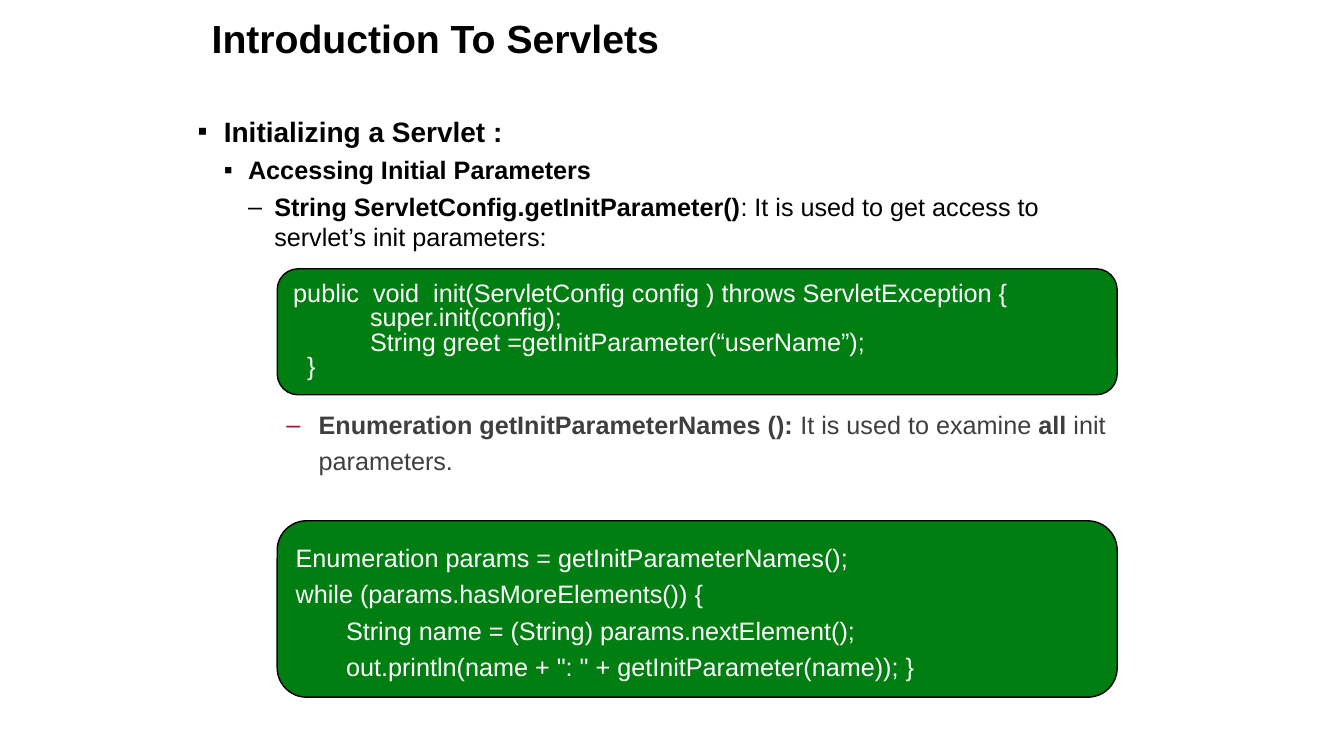
from lxml.etree import SubElement
from pptx import Presentation
from pptx.dml.color import RGBColor
from pptx.enum.shapes import MSO_SHAPE
from pptx.enum.text import MSO_ANCHOR, MSO_AUTO_SIZE, PP_ALIGN
from pptx.oxml.ns import qn
from pptx.util import Pt


def style(r, size, color, bold=False):
    r.font.name = "Arial"
    r.font.size = Pt(size)
    r.font.bold = bold
    r.font.color.rgb = RGBColor.from_string(color)


def place(sp, left, top, width, height):
    sp.left, sp.top, sp.width, sp.height = Pt(left), Pt(top), Pt(width), Pt(height)


prs = Presentation()
prs.slide_width, prs.slide_height = Pt(960), Pt(540)
s = prs.slides.add_slide(prs.slide_layouts[1])

title = s.shapes.title
place(title, 144, -18, 648, 90)
tf = title.text_frame
tf.text = "Introduction To Servlets"
tf.auto_size = MSO_AUTO_SIZE.NONE
tf.vertical_anchor = MSO_ANCHOR.MIDDLE
p = tf.paragraphs[0]
p.alignment = PP_ALIGN.LEFT
style(p.runs[0], 28, "000000", True)

body = s.placeholders[1]
place(body, 134, 78, 682, 426)
tf = body.text_frame
tf.auto_size = MSO_AUTO_SIZE.NONE

# level, left margin, hanging, space before, line spacing, size, colour, bullet, bullet colour, runs
bullets = [
    (0, 18.7, 18.7, 0, 1, 20, "000000", "▪", "000000", [("Initializing a Servlet :", True)]),
    (1, 36, 17.3, 4.8, 1, 18, "000000", "▪", "000000", [("Accessing Initial Parameters", True)]),
    (2, 54.7, 18.7, 4.8, 1, 18, "000000", "–", "000000", [
        ("String ServletConfig.getInitParameter()", True),
        (": It is used to get access to servlet’s init parameters:", False)]),
    (2, 86.4, 23, 108, 1.2, 18, "3F3F3F", "–", "A11133", [
        ("Enumeration getInitParameterNames ():", True),
        (" It is used to examine ", False),
        ("all", True),
        (" init parameters.", False)]),
]
for i, (level, margin, hang, before, spacing, size, color, mark, mark_color, runs) in enumerate(bullets):
    p = tf.paragraphs[0] if i == 0 else tf.add_paragraph()
    p.level = level
    pPr = p._p.get_or_add_pPr()
    pPr.set("marL", str(Pt(margin)))
    pPr.set("indent", str(-Pt(hang)))
    SubElement(SubElement(pPr, qn("a:buClr")), qn("a:srgbClr"), val=mark_color)
    SubElement(pPr, qn("a:buFont"), typeface="Arial")
    SubElement(pPr, qn("a:buChar"), char=mark)
    p.space_before = Pt(before)
    p.line_spacing = spacing
    for text, bold in runs:
        r = p.add_run()
        r.text = text
        style(r, size, color, bold)

init_code = """public  void  init(ServletConfig config ) throws ServletException {
           super.init(config);
           String greet =getInitParameter(“userName”);
  }"""
names_code = """Enumeration params = getInitParameterNames();
while (params.hasMoreElements()) {
\tString name = (String) params.nextElement();
\tout.println(name + ": " + getInitParameter(name)); }"""

for top, height, spacing, code in [(192, 90, 0.8, init_code), (372, 126, 1.2, names_code)]:
    sp = s.shapes.add_shape(MSO_SHAPE.ROUNDED_RECTANGLE, Pt(198), Pt(top), Pt(600), Pt(height))
    sp.shadow.inherit = False
    sp.fill.solid()
    sp.fill.fore_color.rgb = RGBColor.from_string("007E12")
    sp.line.color.rgb = RGBColor.from_string("000000")
    sp.line.width = Pt(1)
    tf = sp.text_frame
    tf.word_wrap = True
    tf.vertical_anchor = MSO_ANCHOR.MIDDLE
    tf.text = code
    for p in tf.paragraphs:
        p.alignment = PP_ALIGN.LEFT
        p.line_spacing = spacing
        style(p.runs[0], 18, "FFFFFF")

prs.save("out.pptx")
